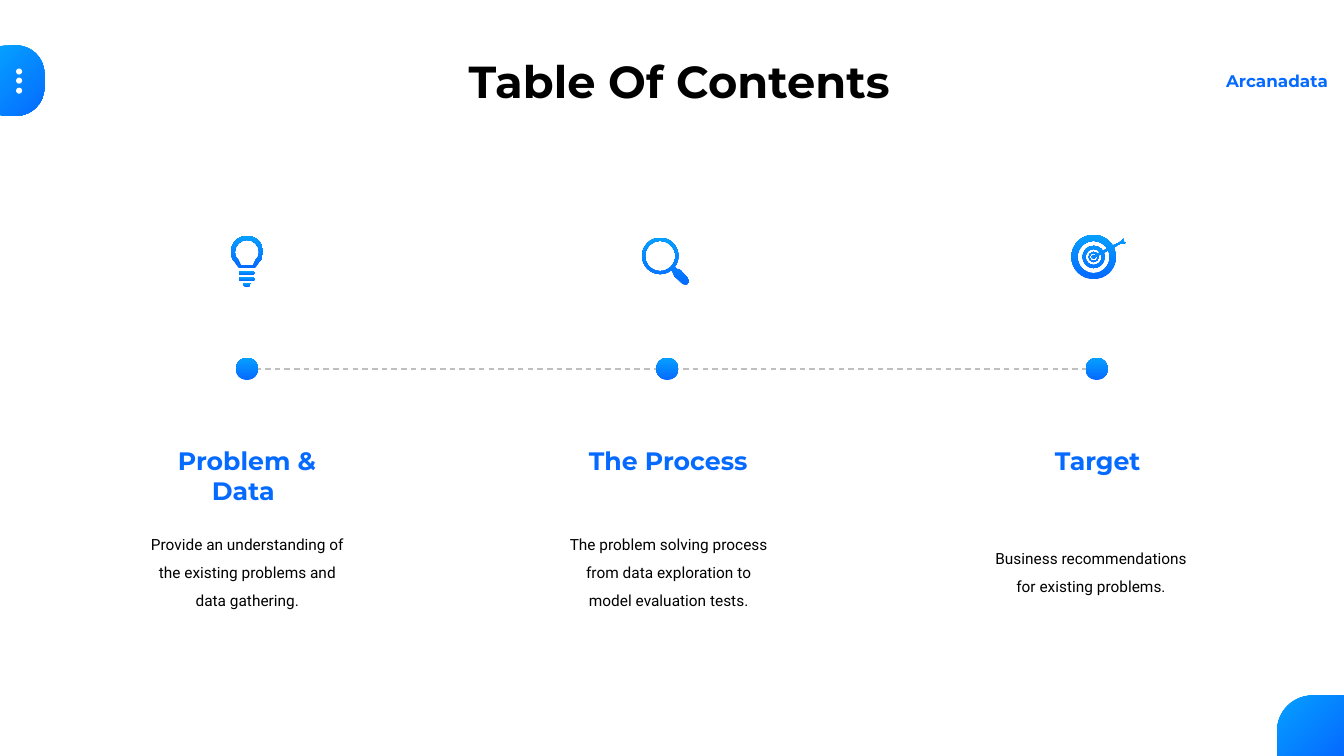
from math import asin, cos, degrees, radians, sin, tan

from lxml import etree
from pptx import Presentation
from pptx.dml.color import RGBColor
from pptx.enum.dml import MSO_LINE
from pptx.enum.shapes import MSO_CONNECTOR, MSO_SHAPE
from pptx.enum.text import MSO_ANCHOR, MSO_AUTO_SIZE, PP_ALIGN
from pptx.oxml import parse_xml
from pptx.oxml.ns import qn
from pptx.util import Inches, Pt

DEEP_BLUE = RGBColor(0x05, 0x6A, 0xFF)
SKY_BLUE = RGBColor(0x05, 0xA0, 0xFF)
BLACK = RGBColor(0, 0, 0)
WHITE = RGBColor(255, 255, 255)
GREY = RGBColor(0xBF, 0xBF, 0xBF)

TITLE = "Table Of Contents"
DECK_NAME = "Arcanadata"
CHAPTERS = [
    {"heading": ["Problem &", "Data "], "dot": 2.45, "heading_x": 2.45, "body_x": 2.45, "body_y": 5.17,
     "body": "Provide an understanding of the existing problems and data gathering."},
    {"heading": ["The Process"], "dot": 6.62, "heading_x": 6.63, "body_x": 6.63, "body_y": 5.17,
     "body": "The problem solving process from data exploration to model evaluation tests."},
    {"heading": ["Target"], "dot": 10.88, "heading_x": 10.89, "body_x": 10.82, "body_y": 5.31,
     "body": "Business recommendations for existing problems."},
]
HEADING_FORMAT = {"name": "Montserrat", "size": Pt(18), "bold": True}
BODY_FORMAT = {"name": "Roboto", "size": Pt(11)}
TITLE_FORMAT = {"name": "Montserrat", "size": Pt(32), "bold": True}
DECK_FORMAT = {"name": "Montserrat", "size": Pt(12), "bold": True}

TIMELINE_Y = 3.66
DOT = 0.22
MENU_DOT = 0.06
MENU_TOPS = [0.68, 0.77, 0.87]
SHAFT_ANGLE = -28


def arc(x, y, radius, start, end):
    """Return a start point and Bezier curves, angles clockwise from the right."""
    low, high = sorted((start, end))
    quarters = [angle for angle in range(-360, 720, 90) if low < angle < high]
    stops = [radians(a) for a in sorted({start, end, *quarters}, reverse=end < start)]
    pieces = [(x + radius * cos(stops[0]), y + radius * sin(stops[0]))]
    for a, b in zip(stops, stops[1:]):
        pull = 4 / 3 * tan((b - a) / 4)
        pieces.append(tuple((x + radius * dx, y + radius * dy) for dx, dy in (
            (cos(a) - pull * sin(a), sin(a) + pull * cos(a)),
            (cos(b) + pull * sin(b), sin(b) - pull * cos(b)),
            (cos(b), sin(b)))))
    return pieces


def target_slot(x, y, outer, inner):
    """Return a ring that stays open where the arrow shaft crosses it."""
    pieces = []
    for radius, turn in ((outer, 1), (inner, -1)):
        gap = degrees(asin(0.01 / radius))
        ends = [SHAFT_ANGLE + gap, SHAFT_ANGLE + 360 - gap][::turn]
        pieces += arc(x, y, radius, *ends)
    return pieces


def paint_gradient(fill):
    """Fill with the blue blend, rising from dark to light."""
    fill.gradient()
    for stop, color in zip(fill.gradient_stops, (DEEP_BLUE, SKY_BLUE)):
        stop.color.rgb = color
    fill.gradient_angle = 90


def make_radial(element):
    """Turn the linear blend inside an element into a circular one."""
    linear = next(element.iter(qn("a:lin")))
    circular = parse_xml(
        '<a:path xmlns:a="http://schemas.openxmlformats.org/drawingml/2006/main" path="circle">'
        '<a:fillToRect l="100000" t="100000"/></a:path>')
    linear.getparent().replace(linear, circular)


def finish(shape, color=None):
    """Remove outline and shadow, then fill with a colour or the blend."""
    shape.shadow.inherit = False
    shape.line.fill.background()
    if color is None:
        paint_gradient(shape.fill)
    else:
        shape.fill.solid()
        shape.fill.fore_color.rgb = color
    return shape


def add_preset(slide, kind, x, y, width, height, color=None):
    """Add a borderless preset shape."""
    return finish(slide.shapes.add_shape(kind, *map(Inches, (x, y, width, height))), color)


def add_outline(slide, *contours):
    """Add a borderless freeform of closed contours made of points and curves."""
    builder, sizes = None, []
    for contour in contours:
        pieces = [piece if isinstance(piece[0], tuple) else (piece,) for piece in contour]
        points = [(Inches(x), Inches(y)) for piece in pieces for x, y in piece]
        if builder is None:
            builder = slide.shapes.build_freeform(*points[0])
        else:
            builder.move_to(*points[0])
        builder.add_line_segments(points[1:], close=True)
        sizes += [len(piece) for piece in pieces[1:]]
    shape = builder.convert_to_shape()
    segments = iter(list(shape.element.iter(qn("a:lnTo"))))
    for size in sizes:
        group = [next(segments) for _ in range(size)]
        if size == 3:
            curve = etree.Element(qn("a:cubicBezTo"))
            group[0].addprevious(curve)
            for segment in group:
                curve.append(segment[0])
                segment.getparent().remove(segment)
    return finish(shape)


def write(frame, lines, look, color, spacing=None):
    """Write centred paragraphs in one format."""
    frame.word_wrap = True
    for index, line in enumerate(lines):
        paragraph = frame.paragraphs[0] if index == 0 else frame.add_paragraph()
        paragraph.alignment = PP_ALIGN.CENTER
        if spacing:
            paragraph.line_spacing = spacing
        run = paragraph.add_run()
        run.text = line
        for attribute, value in look.items():
            setattr(run.font, attribute, value)
        run.font.color.rgb = color


def add_text(slide, x, y, width, height, *writing):
    """Add a text box that grows with its text."""
    box = slide.shapes.add_textbox(*map(Inches, (x, y, width, height)))
    write(box.text_frame, *writing)
    box.text_frame.auto_size = MSO_AUTO_SIZE.SHAPE_TO_FIT_TEXT
    return box


def add_corners(slide):
    """Add the menu tab and the lower right corner."""
    tab = add_outline(slide, [(0, 0.46), (0.04, 0.45), *arc(0.16, 0.73, 0.28, -90, 0),
                              *arc(0.16, 0.87, 0.28, 0, 90), (0.04, 1.15), (0, 1.14)])
    corner = add_outline(slide, [*arc(13.02, 7.25, 0.35, 180, 270), (13.33, 6.9),
                                 (13.33, 7.5), (12.67, 7.5)])
    for piece in (tab, corner):
        make_radial(piece.element)
    for top in MENU_TOPS:
        add_preset(slide, MSO_SHAPE.OVAL, 0.16, top, MENU_DOT, MENU_DOT, WHITE)


def add_timeline(slide):
    """Add the dashed line and a dot for each chapter."""
    ends = map(Inches, (2.34, TIMELINE_Y, 11, TIMELINE_Y))
    timeline = slide.shapes.add_connector(MSO_CONNECTOR.STRAIGHT, *ends)
    timeline.line.color.rgb = GREY
    timeline.line.width = Pt(1)
    timeline.line.dash_style = MSO_LINE.DASH
    etree.SubElement(timeline.element.spPr, qn("a:effectLst"))
    for chapter in CHAPTERS:
        add_preset(slide, MSO_SHAPE.OVAL, chapter["dot"] - DOT / 2, TIMELINE_Y - DOT / 2, DOT, DOT)


def add_icons(slide):
    """Draw the bulb, the magnifier and the target."""
    for top in (2.69, 2.75):
        add_preset(slide, MSO_SHAPE.ROUNDED_RECTANGLE, 2.37, top, 0.16, 0.04).adjustments[0] = 0.5
    add_outline(slide, arc(2.45, 2.81, 0.04, 0, 180))
    add_outline(
        slide,
        [*arc(2.45, 2.5, 0.16, 150, 390), (2.57, 2.6), (2.53, 2.66), (2.37, 2.66), (2.33, 2.6)],
        [*arc(2.45, 2.5, 0.12, 150, 390), (2.54, 2.57), (2.51, 2.63), (2.39, 2.63), (2.36, 2.57)])
    add_outline(
        slide,
        [*arc(6.55, 2.54, 0.18, 52, 398), (6.72, 2.67), (6.75, 2.68),
         *arc(6.8, 2.79, 0.04, -45, 135), (6.69, 2.74), (6.68, 2.71)],
        arc(6.55, 2.54, 0.15, 0, 360))
    hub = (10.85, 2.55)
    slots = [target_slot(*hub, *radii) for radii in ((0.16, 0.11), (0.08, 0.05), (0.04, 0.02))]
    add_outline(
        slide,
        [*arc(*hub, 0.22, -25, 329), (11.1, 2.41), (11.15, 2.37), (11.15, 2.4),
         (11.17, 2.41), (11.11, 2.42)], *slots)


def main():
    """Build the contents slide."""
    deck = Presentation()
    deck.slide_width, deck.slide_height = Inches(40) // 3, Inches(7.5)
    slide = deck.slides.add_slide(deck.slide_layouts[5])
    title = slide.shapes.title
    for side, length in {"left": 4.39, "top": 0.44, "width": 4.7, "height": 0.72}.items():
        setattr(title, side, Inches(length))
    title.text_frame.vertical_anchor = MSO_ANCHOR.MIDDLE
    write(title.text_frame, [TITLE], TITLE_FORMAT, BLACK)
    add_corners(slide)
    label = add_text(slide, 12.06, 0.65, 1.22, 0.3, [DECK_NAME], DECK_FORMAT, DEEP_BLUE)
    paint_gradient(label.text_frame.paragraphs[0].runs[0].font.fill)
    make_radial(label.element)
    for chapter in CHAPTERS:
        heading, body = chapter["heading"], chapter["body"]
        add_text(slide, chapter["heading_x"] - 0.95, 4.37, 1.9, 0.1 + 0.3 * len(heading),
                 heading, HEADING_FORMAT, DEEP_BLUE)
        add_text(slide, chapter["body_x"] - 1.08, chapter["body_y"], 2.17,
                 2 * (5.62 - chapter["body_y"]), [body], BODY_FORMAT, BLACK, 1.5)
    add_timeline(slide)
    add_icons(slide)
    deck.save("out.pptx")


if __name__ == "__main__":
    main()
